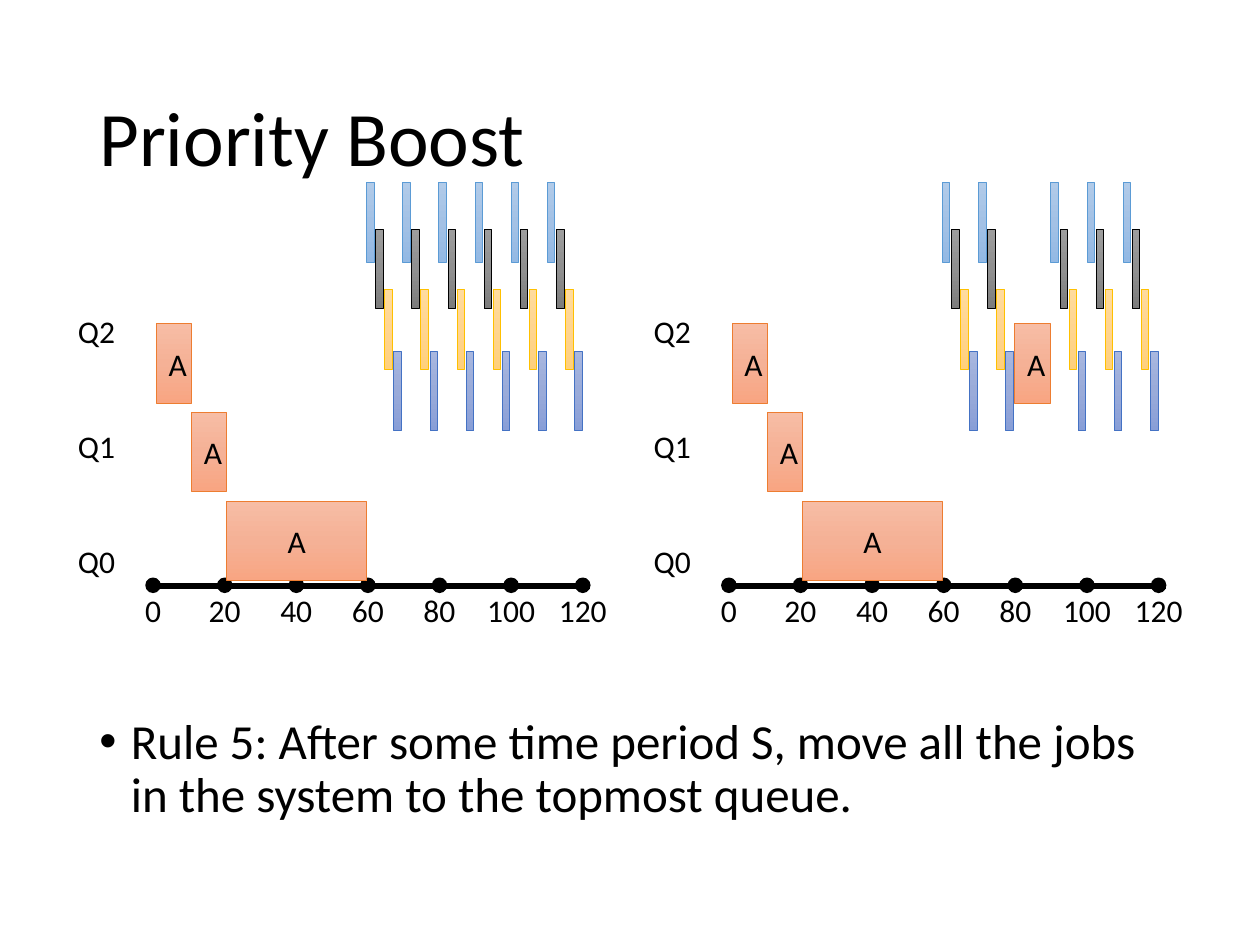
from copy import deepcopy

from pptx import Presentation
from pptx.dml.color import RGBColor
from pptx.enum.shapes import MSO_CONNECTOR, MSO_SHAPE
from pptx.enum.text import MSO_ANCHOR, MSO_AUTO_SIZE, PP_ALIGN
from pptx.oxml.ns import qn
from pptx.util import Inches, Pt
from lxml.etree import SubElement

FONT = "Calibri"
BLACK = RGBColor(0, 0, 0)
ORANGE = (RGBColor(0xED, 0x7D, 0x31), RGBColor(0xF7, 0xBD, 0xA5),
          RGBColor(0xF5, 0xB1, 0x96), RGBColor(0xF8, 0xA5, 0x82))
BLUE = (RGBColor(0x5B, 0x9B, 0xD5), RGBColor(0xB1, 0xCB, 0xE9),
        RGBColor(0xA3, 0xC1, 0xE5), RGBColor(0x93, 0xB9, 0xE4))
GRAY = (BLACK, RGBColor(0x9D, 0x9D, 0x9D),
        RGBColor(0x90, 0x90, 0x90), RGBColor(0x7C, 0x7C, 0x7C))
YELLOW = (RGBColor(0xFF, 0xC0, 0x00), RGBColor(0xFF, 0xDB, 0x9E),
          RGBColor(0xFF, 0xD5, 0x90), RGBColor(0xFF, 0xD0, 0x7C))
INDIGO = (RGBColor(0x44, 0x72, 0xC4), RGBColor(0xA8, 0xB7, 0xDF),
          RGBColor(0x9A, 0xAB, 0xD9), RGBColor(0x88, 0x9E, 0xD7))

JOB_HEIGHT = 0.63
SHORT_JOBS = ((BLUE, 1.45), (GRAY, 1.82), (YELLOW, 2.3), (INDIGO, 2.79))
LONG_JOB = ((0.72, 2.57, 0.28), (1, 3.27, 0.28), (1.28, 3.98, 1.11))


def format_runs(text_frame, size):
    for paragraph in text_frame.paragraphs:
        for run in paragraph.runs:
            run.font.name = FONT
            run.font.size = Pt(size)
            run.font.color.rgb = BLACK


def add_text(shapes, box, text, size, wrap=True):
    shape = shapes.add_textbox(*map(Inches, box))
    text_frame = shape.text_frame
    text_frame.text = text
    text_frame.word_wrap = wrap
    if not wrap:
        text_frame.auto_size = MSO_AUTO_SIZE.SHAPE_TO_FIT_TEXT
    format_runs(text_frame, size)
    return text_frame


def add_title(slide, box):
    text_frame = add_text(slide.shapes, box, "Priority Boost", 44)
    text_frame.vertical_anchor = MSO_ANCHOR.MIDDLE
    text_frame.paragraphs[0].line_spacing = 0.9


def add_rule(slide, box):
    text_frame = add_text(
        slide.shapes, box,
        "Rule 5: After some time period S, move all the jobs in the system "
        "to the topmost queue.", 28)
    paragraph = text_frame.paragraphs[0]
    paragraph.line_spacing = 0.9
    paragraph.space_before = Pt(10)
    properties = paragraph._p.get_or_add_pPr()
    properties.set("marL", str(Inches(0.25)))
    properties.set("indent", str(-Inches(0.25)))
    SubElement(properties, qn("a:buFont")).set("typeface", "Arial")
    SubElement(properties, qn("a:buChar")).set("char", "\u2022")


def add_job(slide, box, palette, label=""):
    shape = slide.shapes.add_shape(MSO_SHAPE.RECTANGLE, *map(Inches, box))
    shape.shadow.inherit = False
    line_color, *stop_colors = palette
    shape.line.color.rgb = line_color
    shape.line.width = Pt(0.5)
    shape.fill.gradient()
    shape.fill.gradient_angle = 270
    stop_list = shape._element.spPr.find(qn("a:gradFill")).find(qn("a:gsLst"))
    stop_list.insert(1, deepcopy(stop_list[0]))
    for index, stop in enumerate(shape.fill.gradient_stops):
        stop.position = index / 2
        stop.color.rgb = stop_colors[index]
    if label:
        shape.text_frame.text = label
        shape.text_frame.vertical_anchor = MSO_ANCHOR.MIDDLE
        shape.text_frame.paragraphs[0].alignment = PP_ALIGN.CENTER
        format_runs(shape.text_frame, 18)


def add_axis(slide, left, top, width):
    shapes = slide.shapes.add_group_shape().shapes
    dot_size = 0.11
    axis = shapes.add_connector(
        MSO_CONNECTOR.STRAIGHT, Inches(left), Inches(top),
        Inches(left + width), Inches(top))
    axis.line.color.rgb = BLACK
    axis.line.width = Pt(3)
    SubElement(axis._element.spPr, qn("a:effectLst"))
    times = range(0, 121, 20)
    step = (width - dot_size) / (len(times) - 1)
    for index, time in enumerate(times):
        dot_left = left + index * step
        dot = shapes.add_shape(
            MSO_SHAPE.OVAL, Inches(dot_left), Inches(top - 0.06),
            Inches(dot_size), Inches(dot_size))
        dot.shadow.inherit = False
        dot.fill.solid()
        dot.fill.fore_color.rgb = BLACK
        dot.line.color.rgb = BLACK
        dot.line.width = Pt(1)
        label_width = 0.2 + 0.13 * len(str(time))
        label_left = dot_left + (dot_size - label_width) / 2
        text_frame = add_text(
            shapes, (label_left, top - 0.01, label_width, 0.4),
            str(time), 18, wrap=False)
        text_frame.paragraphs[0].alignment = PP_ALIGN.CENTER


def add_queue_labels(slide, box):
    text_frame = add_text(slide.shapes, box, "Q2\nQ1\nQ0", 18, wrap=False)
    for paragraph in text_frame.paragraphs[1:]:
        paragraph.space_before = Pt(44)


def add_timeline(slide, left, rounds, boosts=()):
    add_axis(slide, left + 0.64, 4.65, 3.52)
    add_queue_labels(slide, (left, 2.43, 0.5, 2.22))
    for job_left, top, width in LONG_JOB:
        add_job(slide, (left + job_left, top, width, JOB_HEIGHT), ORANGE, "A")
    for row, (palette, top) in enumerate(SHORT_JOBS):
        for turn in rounds:
            job_left = left + 2.39 + turn * 0.287 + row * 0.072
            add_job(slide, (job_left, top, 0.06, JOB_HEIGHT), palette)
    for turn in boosts:
        job_left = left + 2.39 + turn * 0.287
        add_job(slide, (job_left, 2.57, 0.28, JOB_HEIGHT), ORANGE, "A")


presentation = Presentation()
presentation.slide_width = Inches(10)
presentation.slide_height = Inches(7.5)
slide = presentation.slides.add_slide(presentation.slide_layouts[6])
add_title(slide, (0.69, 0.4, 8.62, 1.45))
add_rule(slide, (0.69, 5.64, 8.62, 1.05))
add_timeline(slide, 0.52, range(6))
add_timeline(slide, 5.09, (0, 1, 3, 4, 5), boosts=(2,))
presentation.save("out.pptx")
